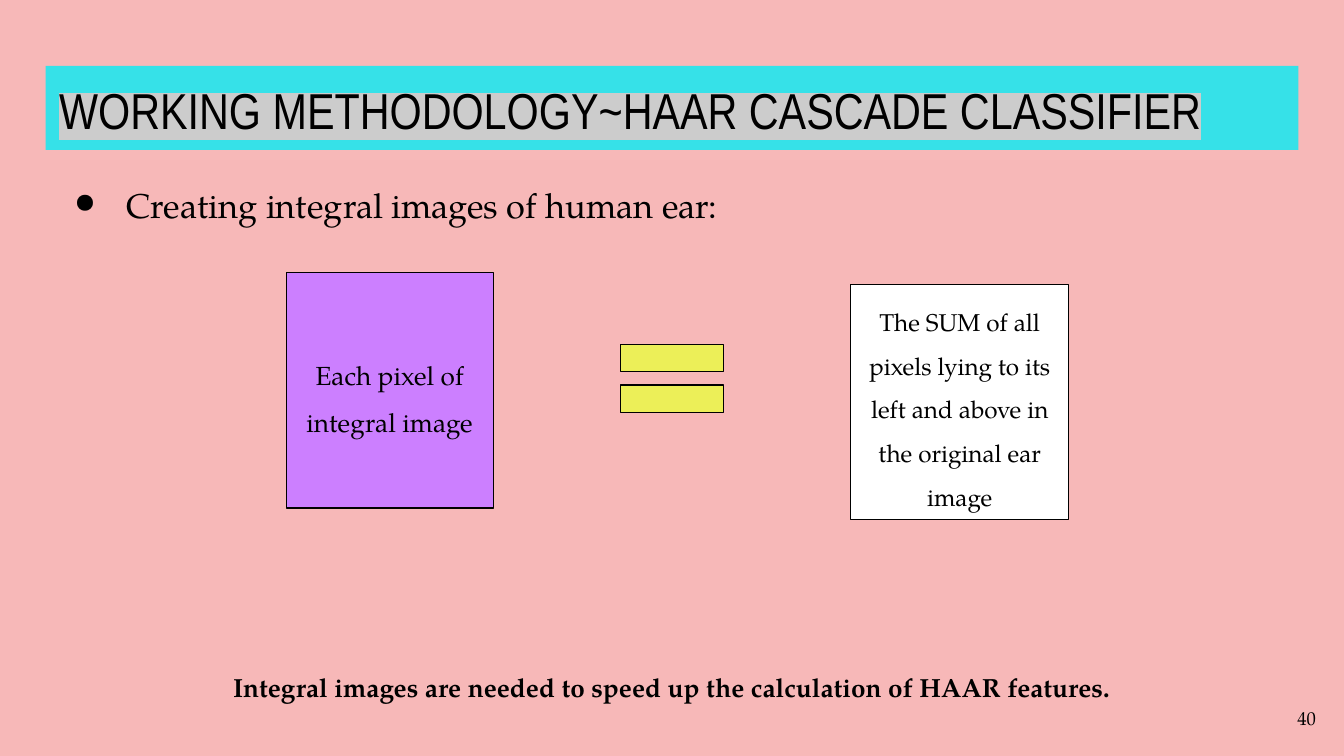
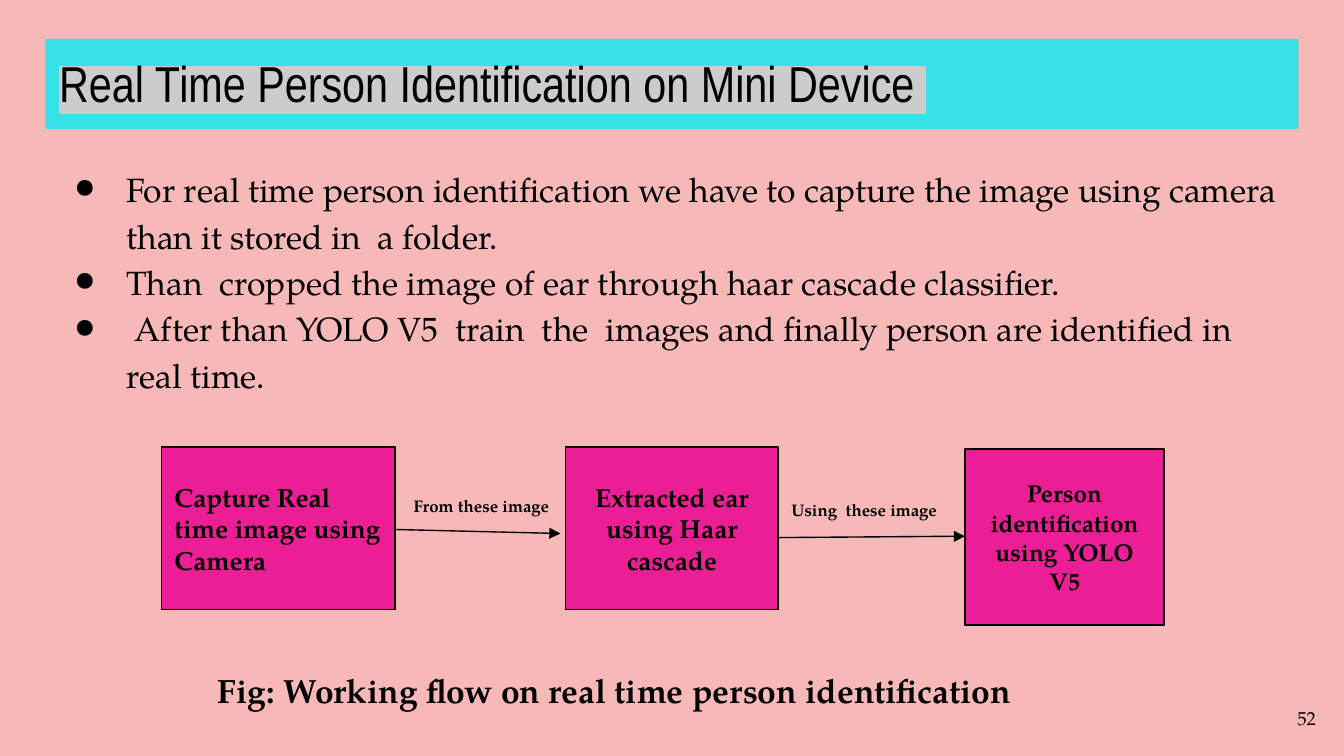
from lxml.etree import SubElement
from pptx import Presentation
from pptx.dml.color import RGBColor
from pptx.enum.shapes import MSO_CONNECTOR, MSO_SHAPE
from pptx.enum.text import MSO_ANCHOR, MSO_AUTO_SIZE, PP_ALIGN
from pptx.oxml.ns import qn
from pptx.util import Emu, Pt

RECTANGLE = MSO_SHAPE.RECTANGLE
PROCESS = MSO_SHAPE.FLOWCHART_PROCESS
EQUAL = MSO_SHAPE.MATH_EQUAL
STRAIGHT = MSO_CONNECTOR.STRAIGHT
LEFT, CENTER, RIGHT = PP_ALIGN.LEFT, PP_ALIGN.CENTER, PP_ALIGN.RIGHT
TOP, MIDDLE = MSO_ANCHOR.TOP, MSO_ANCHOR.MIDDLE
FIXED, GROW = MSO_AUTO_SIZE.NONE, MSO_AUTO_SIZE.SHAPE_TO_FIT_TEXT

# Shared look; 200 px make one inch
EMU_PER_PX = 4572
SLIDE_WIDTH, SLIDE_HEIGHT = 2000, 1125
TITLE_ONLY = 5
TITLE_FONT = "Arial Narrow"
BODY_FONT = "TeX Gyre Pagella"
BLACK, WHITE = "000000", "FFFFFF"
PINK, CYAN, GREY = "F7B8B8", "36E1E8", "CCCCCC"
PURPLE, YELLOW, MAGENTA = "CC7FFF", "ECEF58", "EB1E95"
MARGIN, CONTENT_WIDTH = 68, 1864
INSET = 20
BULLET_INDENT, BULLET_HANG = 100, 76
LINE_WIDTH = Pt(0.75)


def px(length):
    return Emu(length * EMU_PER_PX)


def color(value):
    return RGBColor.from_string(value)


def add_bullet(paragraph):
    properties = paragraph._p.get_or_add_pPr()
    properties.set("marL", str(px(BULLET_INDENT)))
    properties.set("indent", str(px(-BULLET_HANG)))
    bullet_color = SubElement(properties, qn("a:buClr"))
    SubElement(bullet_color, qn("a:srgbClr"), val=BLACK)
    SubElement(properties, qn("a:buSzPct"), val="73000")
    SubElement(properties, qn("a:buFont"), typeface=BODY_FONT)
    SubElement(properties, qn("a:buChar"), char="●")


def add_highlight(run, value):
    properties = run._r.get_or_add_rPr()
    highlight = SubElement(properties, qn("a:highlight"))
    SubElement(highlight, qn("a:srgbClr"), val=value)
    properties.find(qn("a:solidFill")).addnext(highlight)


def write_text(shape, *texts, size=14, font=BODY_FONT, bold=False, align=LEFT,
               anchor=TOP, spacing=1.0, bullets=False, highlight=None,
               fit=FIXED):
    """Write each text as one paragraph of the shape."""
    frame = shape.text_frame
    frame.word_wrap = True
    frame.auto_size = fit
    frame.vertical_anchor = anchor
    frame.margin_left = frame.margin_right = px(INSET)
    frame.margin_top = frame.margin_bottom = px(INSET)
    for index, text in enumerate(texts):
        paragraph = frame.add_paragraph() if index else frame.paragraphs[0]
        if bullets:
            add_bullet(paragraph)
        paragraph.alignment = align
        paragraph.line_spacing = spacing
        paragraph.space_before = paragraph.space_after = Pt(0)
        run = paragraph.add_run()
        run.text = text
        run.font.name = font
        run.font.size = Pt(size)
        run.font.bold = bold
        run.font.color.rgb = color(BLACK)
        if highlight:
            add_highlight(run, highlight)


def add_text(slide, box, *texts, **text_format):
    shape = slide.shapes.add_textbox(*map(px, box))
    write_text(shape, *texts, **text_format)


def add_box(slide, kind, box, fill, text=None, **text_format):
    shape = slide.shapes.add_shape(kind, *map(px, box))
    shape.shadow.inherit = False
    shape.fill.solid()
    shape.fill.fore_color.rgb = color(fill)
    shape.line.color.rgb = color(BLACK)
    shape.line.width = LINE_WIDTH
    if text:
        write_text(shape, text, anchor=MIDDLE, **text_format)


def add_arrow(slide, start, end):
    connector = slide.shapes.add_connector(STRAIGHT, *map(px, start + end))
    connector.line.color.rgb = color(BLACK)
    connector.line.width = LINE_WIDTH
    properties = connector._element.spPr
    SubElement(properties.find(qn("a:ln")), qn("a:tailEnd"), type="triangle")
    SubElement(properties, qn("a:effectLst"))


def add_title_slide(presentation, title, top, height, number):
    """Add a slide with its title band and page number."""
    slide = presentation.slides.add_slide(presentation.slide_layouts[TITLE_ONLY])
    band = slide.shapes.title
    band.left, band.top = px(MARGIN), px(top)
    band.width, band.height = px(CONTENT_WIDTH), px(height)
    band.fill.solid()
    band.fill.fore_color.rgb = color(CYAN)
    write_text(band, title, size=27, font=TITLE_FONT, highlight=GREY)
    add_text(slide, (1858, 1026, 120, 86), str(number), size=10, align=RIGHT,
             anchor=MIDDLE)
    return slide


def add_bullets(slide, *texts, **text_format):
    add_text(slide, (MARGIN, 223, CONTENT_WIDTH, 884), *texts, bullets=True,
             **text_format)


def build_integral_image_slide(presentation):
    slide = add_title_slide(
        presentation, "WORKING METHODOLOGY~HAAR CASCADE CLASSIFIER", 98, 125, 40)
    add_bullets(slide, "Creating integral images of human ear:", size=18.4,
                spacing=1.5)
    add_text(slide, (138, 979, 1724, 88),
             "Integral images are needed to speed up the calculation of HAAR features.",
             bold=True, align=CENTER, fit=GROW)

    # Pixel = sum
    add_box(slide, PROCESS, (426, 406, 308, 350), PURPLE,
            "Each pixel of integral image", align=CENTER, spacing=1.5)
    add_box(slide, EQUAL, (896, 477, 208, 172), YELLOW)
    add_box(slide, PROCESS, (1266, 423, 324, 350), WHITE,
            "The SUM of all pixels lying to its left and above in the original ear image",
            size=13, align=CENTER, spacing=1.5)


def build_identification_slide(presentation):
    slide = add_title_slide(
        presentation, "Real Time Person Identification on Mini Device ", 58, 134, 52)
    add_bullets(
        slide,
        "For real time person identification we have to capture the image using camera"
        "  than it stored in  a folder.",
        "Than  cropped the image of ear through haar cascade classifier.",
        " After than YOLO V5  train  the  images and finally person are identified in"
        " real time.",
        size=18, spacing=1.15)

    # Workflow steps
    steps = [
        ((240, 665, 348, 242), "Capture Real time image using Camera", 14, LEFT),
        ((842, 665, 316, 242), "Extracted ear using Haar cascade", 14, CENTER),
        ((1436, 668, 296, 262), "Person identification using YOLO V5", 13, CENTER),
    ]
    for box, text, size, align in steps:
        add_box(slide, RECTANGLE, box, MAGENTA, text, size=size, align=align,
                bold=True)

    # Arrows with their labels
    links = [
        ((588, 788), (834, 794), (596, 722, 246, 70), "From these image"),
        ((1158, 800), (1436, 798), (1158, 728, 296, 70), "Using  these image"),
    ]
    for start, end, label_box, label in links:
        add_arrow(slide, start, end)
        add_text(slide, label_box, label, size=9, bold=True, fit=GROW)

    # Caption
    add_text(slide, (292, 977, 1496, 100),
             " Fig: Working flow on real time person identification",
             size=18, bold=True, fit=GROW)


def main():
    presentation = Presentation()
    presentation.slide_width = px(SLIDE_WIDTH)
    presentation.slide_height = px(SLIDE_HEIGHT)
    background = presentation.slide_master.background.fill
    background.solid()
    background.fore_color.rgb = color(PINK)
    build_integral_image_slide(presentation)
    build_identification_slide(presentation)
    presentation.save("out.pptx")


if __name__ == "__main__":
    main()
